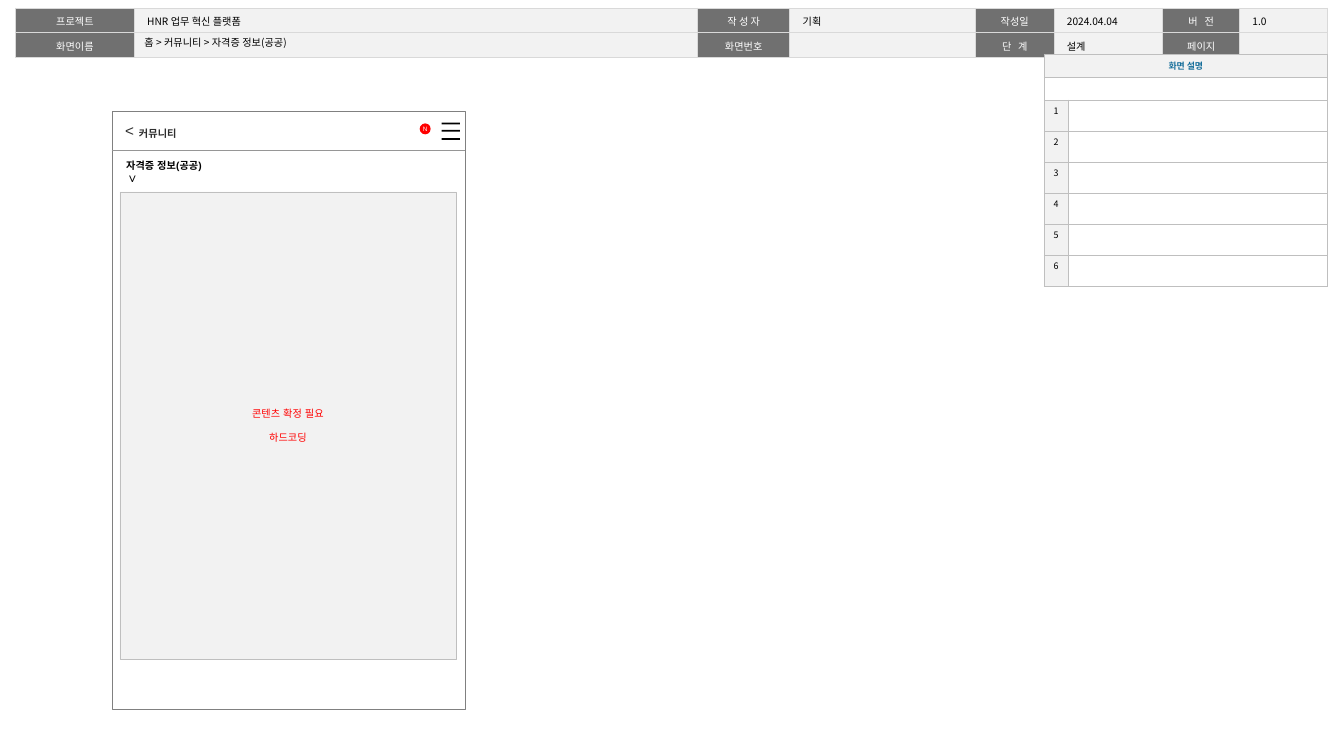
from pptx import Presentation
from pptx.dml.color import RGBColor
from pptx.enum.shapes import MSO_CONNECTOR as Connector, MSO_SHAPE as Shape
from pptx.enum.text import MSO_ANCHOR as Anchor, PP_ALIGN as Align
from pptx.oxml.ns import qn
from pptx.oxml.xmlchemy import OxmlElement
from pptx.util import Pt

PX = 9144  # EMU per px, at 100 px to the inch
SANS = "Noto Sans CJK KR"
BLACK, WHITE, RED, INK = "000000", "FFFFFF", "FF0000", "2E2E2E"
DARK, LIGHT, SILVER = "707070", "F2F2F2", "BFBFBF"


def rgb(value):
    return RGBColor.from_string(value)


def emu(*lengths):
    return [length * PX for length in lengths]


class Wireframe:
    def __init__(self, slide, font="Arial", size=8):
        self.slide, self.font, self.size = slide, font, size

    def style(self, paragraph, size=None, color=BLACK, bold=False, font=None,
              align=Align.LEFT, spacing=None, tracking=None):
        """Set the look of a paragraph; tracking is in hundredths of a point."""
        size, name = size or self.size, font or self.font
        paragraph.alignment = align
        if spacing:
            paragraph.line_spacing = spacing
        target = paragraph.font
        target.size, target.bold, target.name = Pt(size), bold, name
        target.color.rgb = rgb(color)
        properties = paragraph._p.pPr.find(qn("a:defRPr"))
        east_asian = OxmlElement("a:ea")
        east_asian.set("typeface", name)
        properties.find(qn("a:latin")).addnext(east_asian)
        if tracking:
            properties.set("spc", str(tracking))
        if not paragraph.runs:
            paragraph._p.get_or_add_endParaRPr().set("sz", str(size * 100))

    def fill_frame(self, frame, lines, insets, wrap, gap=0, **look):
        frame.word_wrap = wrap
        (frame.margin_left, frame.margin_top,
         frame.margin_right, frame.margin_bottom) = emu(*insets)
        frame.text = "\n".join(lines)
        for index, paragraph in enumerate(frame.paragraphs):
            if index and gap:
                paragraph.space_before = Pt(gap)
            self.style(paragraph, **look)

    def text(self, box, content, insets, anchor=Anchor.TOP, wrap=True, **look):
        frame = self.slide.shapes.add_textbox(*emu(*box)).text_frame
        frame.vertical_anchor = anchor
        self.fill_frame(frame, [content], insets, wrap, **look)

    def paint(self, shape, fill, line=None, width=0.5):
        shape.shadow.inherit = False
        if fill:
            shape.fill.solid()
            shape.fill.fore_color.rgb = rgb(fill)
        else:
            shape.fill.background()
        if line:
            shape.line.color.rgb = rgb(line)
            shape.line.width = Pt(width)
        else:
            shape.line.fill.background()

    def shape(self, kind, box, fill=None, line=None, width=0.5, lines=(), **look):
        shape = self.slide.shapes.add_shape(kind, *emu(*box))
        self.paint(shape, fill, line, width)
        if lines:
            shape.text_frame.vertical_anchor = Anchor.MIDDLE
            self.fill_frame(shape.text_frame, lines, (0, 0, 0, 0), False,
                            align=Align.CENTER, **look)

    def line(self, start, end, color, width):
        connector = self.slide.shapes.add_connector(
            Connector.STRAIGHT, *emu(*start, *end))
        connector.line.color.rgb = rgb(color)
        connector.line.width = Pt(width)
        connector._element.spPr.append(OxmlElement("a:effectLst"))

    def menu_icon(self, left, top):
        """Draw three stacked bars as one outline."""
        builder = None
        for index in range(3):
            y = top + index * 17 // 2
            if builder is None:
                builder = self.slide.shapes.build_freeform(left, y, scale=PX)
            else:
                builder.move_to(left, y)
            builder.add_line_segments(
                [(left + 20, y), (left + 20, y + 2), (left, y + 2)], close=True)
        self.paint(builder.convert_to_shape(), BLACK)

    def table(self, left, top, columns, rows):
        frame = self.slide.shapes.add_table(
            len(rows), len(columns), *emu(left, top, sum(columns), sum(rows)))
        table = frame.table
        table.first_row = table.horz_banding = False
        for column, width in zip(table.columns, columns):
            column.width = width * PX
        for row, height in zip(table.rows, rows):
            row.height = height * PX
        return table

    def cell(self, cell, content="", fill=WHITE, border=None, width=1,
             inset=4, anchor=Anchor.TOP, **look):
        if border:
            properties = cell._tc.get_or_add_tcPr()
            for side in "LRTB":
                edge = OxmlElement(f"a:ln{side}")
                edge.set("w", str(int(Pt(width))))
                solid, color = OxmlElement("a:solidFill"), OxmlElement("a:srgbClr")
                color.set("val", border)
                solid.append(color)
                edge.append(solid)
                properties.append(edge)
        cell.fill.solid()
        cell.fill.fore_color.rgb = rgb(fill)
        cell.vertical_anchor = anchor
        cell.margin_left = cell.margin_right = inset * PX
        cell.margin_top = cell.margin_bottom = 5 * PX
        cell.text = content
        self.style(cell.text_frame.paragraphs[0], **look)


def add_header(page):
    rows = [
        ["프로젝트", "HNR 업무 혁신 플랫폼", "작 성 자", "기획",
         "작성일", "2024.04.04", "버 전", "1.0"],
        ["화면이름", "", "화면번호", "", "단 계", "설계", "페이지", ""],
    ]
    table = page.table(17, 9, [130, 616, 101, 203, 86, 119, 84, 96], [24, 24])
    label = dict(fill=DARK, color=WHITE, align=Align.CENTER)
    value = dict(fill=LIGHT)
    for y, row in enumerate(rows):
        for x, content in enumerate(row):
            look = value if x % 2 else label
            tracking = 180 if content in ("버 전", "단 계") else None
            page.cell(table.cell(y, x), content, border="D9D9D9", inset=14,
                      font=SANS, spacing=1.05, tracking=tracking, **look)


def add_phone(page):
    page.shape(Shape.RECTANGLE, (123, 122, 386, 654), line="808080")
    page.line((122, 164), (509, 164), "969696", 0.5)
    page.shape(Shape.OVAL, (459, 135, 12, 12), RED, lines=["N"], size=5, color=WHITE)
    page.text((127, 128, 32, 30), "<", (10, 5, 10, 5), wrap=False, size=12, color=INK)
    page.menu_icon(483, 134)


def add_descriptions(page):
    table = page.table(1142, 59, [26, 284], [25] * 2 + [34] * 6)
    look = dict(border=SILVER, width=0.25, size=7, font=SANS)
    for y in range(8):
        number = str(y - 1) if y > 1 else ""
        page.cell(table.cell(y, 1), **look)
        if y == 0:
            page.cell(table.cell(y, 0), "화면 설명", LIGHT, anchor=Anchor.MIDDLE,
                      align=Align.CENTER, color="176F9B", bold=True, **look)
        else:
            page.cell(table.cell(y, 0), number, LIGHT if number else WHITE,
                      align=Align.CENTER, **look)
        if not number:
            table.cell(y, 0).merge(table.cell(y, 1))


def add_content(page):
    table = page.table(131, 169, [116, 16, 66, 66, 105], [31])
    for x in range(5):
        page.cell(table.cell(0, x), "" if x else "자격증 정보(공공)",
                  inset=4 if x else 7, anchor=Anchor.MIDDLE, bold=True)
    paragraph = table.cell(0, 0).text_frame.paragraphs[0]
    paragraph.add_line_break()
    chevron = paragraph.add_run()
    chevron.text = "∨"
    chevron.font.size, chevron.font.bold = Pt(10), False
    page.shape(Shape.RECTANGLE, (131, 210, 368, 511), LIGHT, SILVER, 0.25,
               ["콘텐츠 확정 필요", "하드코딩"], gap=9, color=RED)
    page.text((152, 128, 198, 28), "커뮤니티", (0, 5, 0, 5),
              color=INK, bold=True, spacing=1.5)


def main():
    presentation = Presentation()
    presentation.slide_width, presentation.slide_height = emu(1470, 827)
    page = Wireframe(presentation.slides.add_slide(presentation.slide_layouts[6]))
    add_header(page)
    add_phone(page)
    page.text((147, 38, 385, 16), "홈 > 커뮤니티 > 자격증 정보(공공)", (11, 5, 11, 5),
              anchor=Anchor.MIDDLE, font=SANS)
    add_descriptions(page)
    add_content(page)
    presentation.save("out.pptx")


if __name__ == "__main__":
    main()
